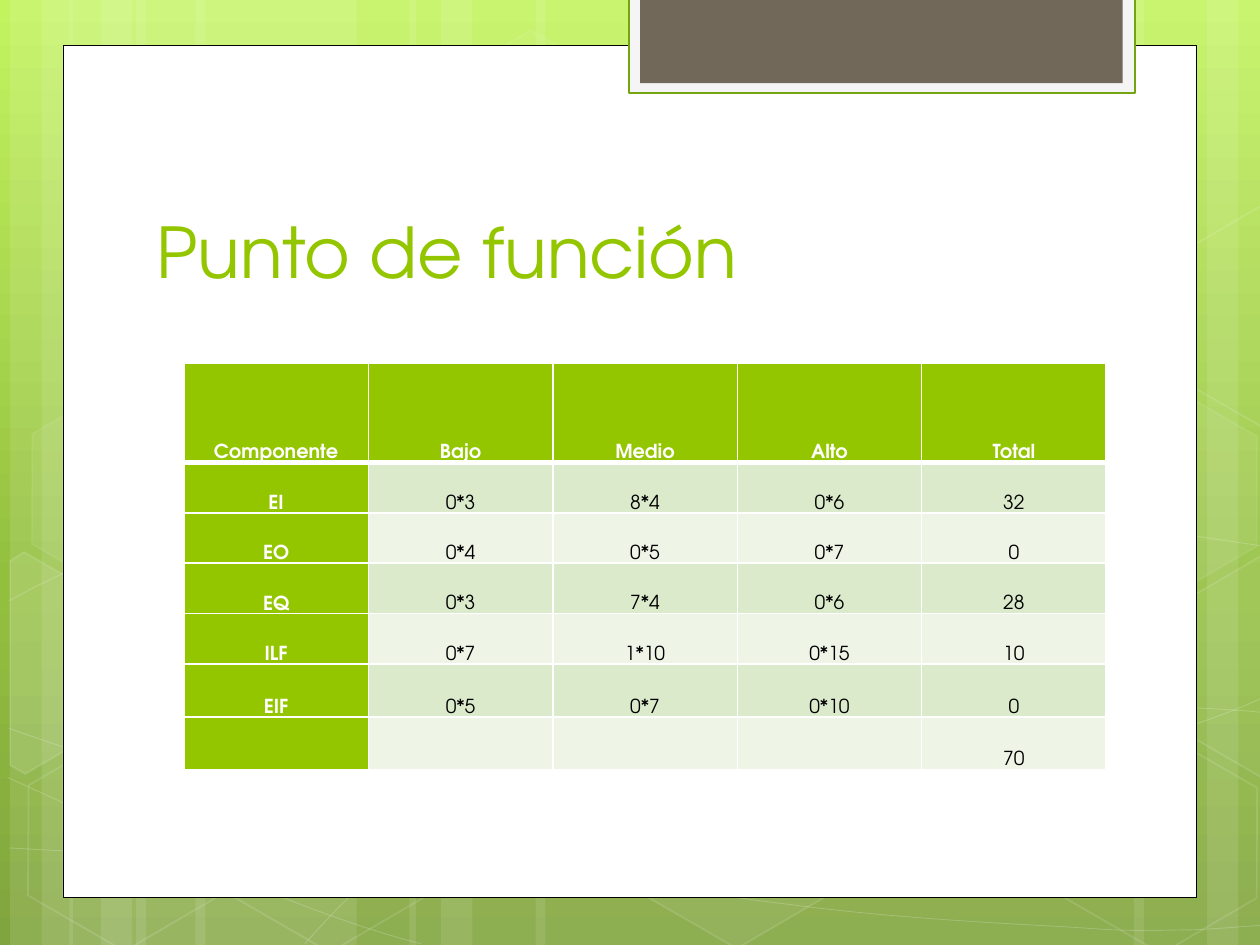
"""Build the function point slide: a green patterned frame, a title and a table."""
import math

import lxml.etree
import pptx
import pptx.dml.color
import pptx.enum.shapes
import pptx.enum.text
import pptx.oxml
import pptx.oxml.ns
import pptx.util

Inches, Pt = pptx.util.Inches, pptx.util.Pt
RGB = pptx.dml.color.RGBColor.from_string
qn = pptx.oxml.ns.qn
KINDS = pptx.enum.shapes.MSO_SHAPE
ALIGN = pptx.enum.text.PP_ALIGN
ANCHOR = pptx.enum.text.MSO_ANCHOR

THEME = {
    "font": "TeX Gyre Adventor", "title_size": 40, "cell_size": 11,
    "accent": "94C600", "white": "FFFFFF", "black": "000000",
    "bands": ["DCEACC", "EEF5E7"],
    "tab": "F5F5F5", "tab_line": "74A510", "tab_core": "71685A",
    "backdrop": [(0, "C3F35F"), (62, "93BF3F"), (100, "81A53E")],
}


def paint(shape, fill=None, fill_alpha=100, line=None, width=1, line_alpha=100):
    """Set the fill and outline of a shape, with opacity in percent."""
    shape.shadow.inherit = False
    layers = [(shape.fill, fill, fill_alpha), (shape.line.fill, line, line_alpha)]
    for layer, color, alpha in layers:
        if color is None:
            layer.background()
            continue
        layer.solid()
        layer.fore_color.rgb = RGB(color)
        if alpha < 100:
            owner = shape.line._get_or_add_ln() if layer is shape.line.fill else shape._element.spPr
            tone = owner.find(qn("a:solidFill")).find(qn("a:srgbClr"))
            lxml.etree.SubElement(tone, qn("a:alpha")).set("val", str(alpha * 1000))
    if line:
        shape.line.width = Pt(width)


def outline(points, closed):
    """Draw a freeform through points given in inches."""
    spots = [(Inches(x), Inches(y)) for x, y in points]
    builder = page.shapes.build_freeform(*spots[0])
    builder.add_line_segments(spots[1:], close=closed)
    return builder.convert_to_shape()


deck = pptx.Presentation()
deck.slide_width, deck.slide_height = Inches(10), Inches(7.5)
page = deck.slides.add_slide(deck.slide_layouts[5])
white = THEME["white"]

backdrop = page.background.fill
backdrop.gradient()
backdrop.gradient_angle = 270
stops = page._element.find(".//" + qn("a:gsLst"))
for stop in list(stops):
    stops.remove(stop)
for position, color in THEME["backdrop"]:
    stop = lxml.etree.SubElement(stops, qn("a:gs"), pos=str(position * 1000))
    lxml.etree.SubElement(stop, qn("a:srgbClr"), val=color)

stripes = [(1.08, 1.75), (0.08, 0.5), (0.33, 0.83), (1.55, 1.75), (0.55, 0.5), (0.8, 0.83),
           (7.33, 1.75), (9.58, 0.5), (9, 0.83), (4.25, 3.08), (3.25, 0.5), (3.5, 0.83)]
for left, width in stripes:
    stripe = page.shapes.add_shape(KINDS.RECTANGLE, Inches(left), 0, Inches(width), Inches(7.5))
    paint(stripe, white, 10)

waves = [
    [(0.07, 6.73), (0.61, 6.76), (1.15, 6.79), (1.9, 6.78), (2.65, 6.77), (3.58, 6.75),
     (4.58, 6.65), (5.58, 6.55), (7, 6.36), (7.92, 6.17), (8.83, 5.98), (9.77, 5.68), (10.07, 5.51)],
    [(0.07, 4.77), (0.36, 4.61), (0.65, 4.46), (1.21, 4.31), (1.78, 4.16), (2.59, 3.94),
     (3.47, 3.87), (4.36, 3.8), (5.44, 3.79), (6.54, 3.87), (7.64, 3.95), (9.47, 4.26), (10.07, 4.34)],
    [(0.06, 6.17), (1.27, 6.72), (2.47, 7.27), (3.34, 7.49)],
    [(0.07, 5.78), (0.38, 5.89), (0.7, 6), (1.28, 6.16), (1.86, 6.31), (2.73, 6.56),
     (3.57, 6.73), (4.4, 6.9), (5.45, 7.08), (6.28, 7.18), (7.11, 7.29), (8, 7.33),
     (8.53, 7.36), (9.05, 7.4), (9.19, 7.38), (9.45, 7.38), (9.71, 7.37), (9.89, 7.35), (10.07, 7.34)],
    [(2.42, 7.49), (2.6, 7.29), (2.78, 7.09), (3.02, 6.91), (3.26, 6.73), (3.6, 6.53),
     (3.88, 6.39), (4.16, 6.25), (4.33, 6.19), (4.7, 6.09), (5.06, 5.99), (5.73, 5.85),
     (6.08, 5.78), (6.44, 5.71), (6.49, 5.71), (6.8, 5.69), (7.11, 5.66), (7.6, 5.63),
     (7.94, 5.62), (8.29, 5.61), (8.86, 5.62), (8.86, 5.62), (9.08, 5.62), (9.31, 5.62),
     (9.53, 5.62), (9.71, 5.63), (9.88, 5.64), (9.97, 5.65), (10.06, 5.66), (10.03, 5.65), (10.06, 5.66)],
]
for knots in waves:
    wave = outline(knots, False)
    track = wave._element.find(".//" + qn("a:path"))
    legs = track.findall(qn("a:lnTo"))
    for start in range(0, len(legs), 3):
        curve = lxml.etree.SubElement(track, qn("a:cubicBezTo"))
        for leg in legs[start:start + 3]:
            curve.append(leg[0])
            track.remove(leg)
    paint(wave, line=white, width=0.5, line_alpha=20)

hexagons = [(3.34, 0.36, 4, 8), (4.97, 5.89, 6, 12), (0.11, 5.91, 0, 12),
            (0.14, 3.12, 7, 8), (1.74, 5.92, 0, 12), (7.53, 4.53, 10, 12),
            (8.34, 5.93, 0, 12), (8.34, 3.14, 7, 8)]
tilt = 30
for left, top, fill_alpha, line_alpha in hexagons:
    hexagon = page.shapes.add_shape(KINDS.HEXAGON, Inches(left), Inches(top), Inches(1.75), Inches(1.52))
    hexagon.rotation = tilt
    hexagon.adjustments[0] = 0.285
    paint(hexagon, white if fill_alpha else None, fill_alpha, white, 1, line_alpha)

cut_hexagons = [
    ((0.36, 5.35), 10,
     [(0.08, 4.45), (0.19, 4.38), (0.96, 4.82), (0.95, 5.7), (0.2, 6.14), (0.08, 6.07)]),
    ((9.85, 5.2), 4,
     [(9.26, 4.85), (10.01, 4.41), (10.09, 4.46), (10.09, 6.13), (10.02, 6.17), (9.26, 5.73)]),
    ((9.85, 2.41), 0,
     [(9.26, 2.07), (10.01, 1.63), (10.1, 1.68), (10.09, 3.35), (10.02, 3.39), (9.26, 2.95)]),
]
cos, sin = math.cos(math.radians(tilt)), math.sin(math.radians(tilt))
for (mid_x, mid_y), fill_alpha, corners in cut_hexagons:
    level = [(mid_x + (x - mid_x) * cos + (y - mid_y) * sin,
              mid_y - (x - mid_x) * sin + (y - mid_y) * cos) for x, y in corners]
    cut_hexagon = outline(level, True)
    cut_hexagon.rotation = tilt
    paint(cut_hexagon, white if fill_alpha else None, fill_alpha, white, 1, 12)

panels = [
    ((0.5, 0.36, 9, 6.76), {"fill": white, "line": THEME["black"], "width": 0.5}),
    ((4.99, -0.02, 4.02, 0.76), {"fill": THEME["tab"], "line": THEME["tab_line"], "width": 1.25}),
    ((5.08, -0.02, 3.83, 0.68), {"fill": THEME["tab_core"]}),
]
for bounds, look in panels:
    paint(page.shapes.add_shape(KINDS.RECTANGLE, *map(Inches, bounds)), **look)

title = page.shapes.title
page.shapes._spTree.append(title._element)
for name, value in {"left": 1.14, "top": 1.12, "width": 7.68, "height": 1.25}.items():
    setattr(title, name, Inches(value))
title.text_frame.text = "Punto de función"
title.text_frame.vertical_anchor = ANCHOR.BOTTOM
para = title.text_frame.paragraphs[0]
para.alignment = ALIGN.LEFT
span = para.runs[0]
for name, value in {"name": THEME["font"], "size": Pt(THEME["title_size"])}.items():
    setattr(span.font, name, value)
span.font.color.rgb = RGB(THEME["accent"])

rows = [
    ["Componente", "Bajo", "Medio", "Alto", "Total"],
    ["EI", "0*3", "8*4", "0*6", "32"],
    ["EO", "0*4", "0*5", "0*7", "0"],
    ["EQ", "0*3", "7*4", "0*6", "28"],
    ["ILF", "0*7", "1*10", "0*15", "10"],
    ["EIF", "0*5", "0*7", "0*10", "0"],
    ["", "", "", "", "70"],
]
heights = [0.79, 0.4, 0.4, 0.4, 0.4, 0.42, 0.42]
table = page.shapes.add_table(len(rows), len(rows[0]), Inches(1.46), Inches(2.88),
                              Inches(7.32), Inches(sum(heights))).table
for row, height in zip(table.rows, heights):
    row.height = Inches(height)
cell_format = {"margin_left": Inches(0.05), "margin_right": Inches(0.05), "margin_top": 0,
               "margin_bottom": 0, "vertical_anchor": ANCHOR.BOTTOM}
for r, texts in enumerate(rows):
    for c, text in enumerate(texts):
        cell = table.cell(r, c)
        heading = r == 0 or c == 0
        for name, value in cell_format.items():
            setattr(cell, name, value)
        cell.fill.solid()
        cell.fill.fore_color.rgb = RGB(THEME["accent"] if heading else THEME["bands"][(r - 1) % 2])
        widths = {"lnL": 1, "lnR": 1, "lnT": 3 if r == 1 else 1, "lnB": 3 if r == 0 else 1}
        for index, (side, width) in enumerate(widths.items()):
            border = pptx.oxml.parse_xml(
                f'<a:{side} {pptx.oxml.ns.nsdecls("a")} w="{Pt(width)}"><a:solidFill>'
                f'<a:srgbClr val="{white}"/></a:solidFill></a:{side}>')
            cell._tc.get_or_add_tcPr().insert(index, border)
        if not text:
            continue
        para = cell.text_frame.paragraphs[0]
        para.alignment, para.line_spacing = ALIGN.CENTER, 1.15
        span = para.add_run()
        span.text = text
        for name, value in {"name": THEME["font"], "size": Pt(THEME["cell_size"]), "bold": heading}.items():
            setattr(span.font, name, value)
        span.font.color.rgb = RGB(white if heading else THEME["black"])

deck.save("out.pptx")
